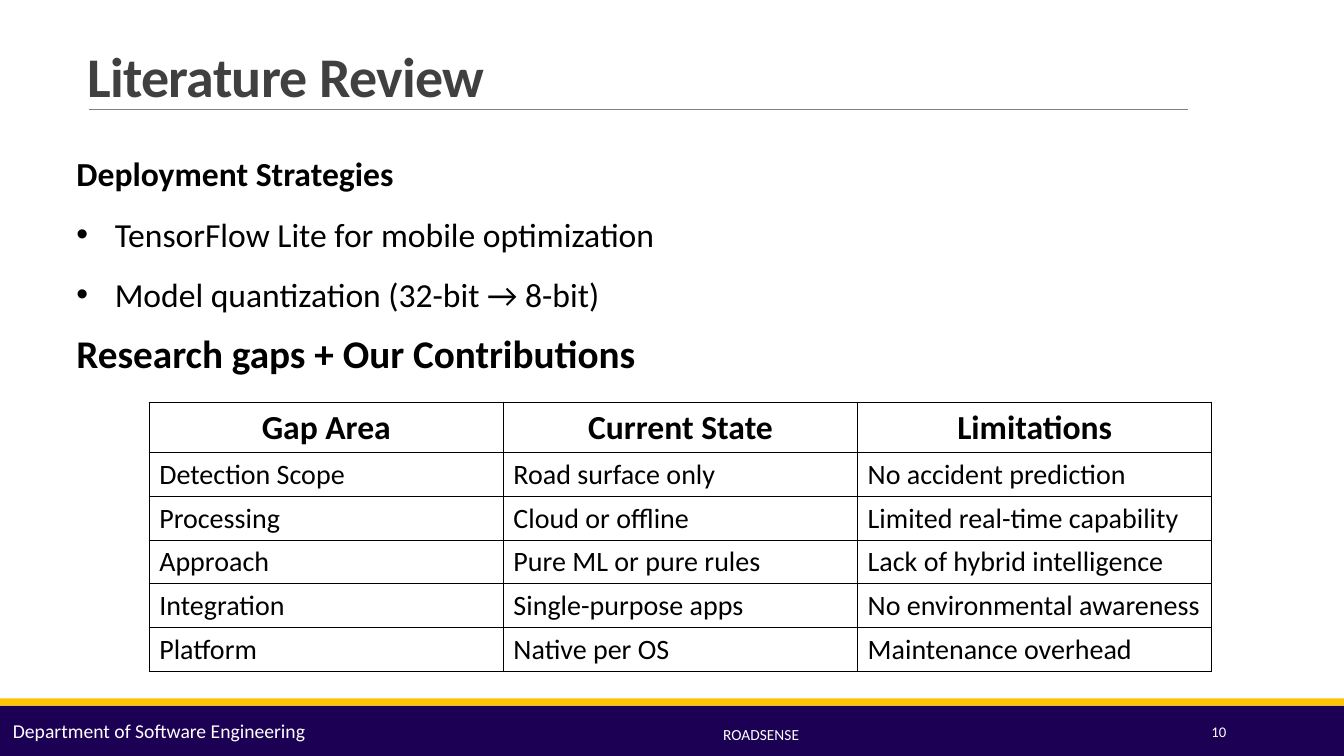
import pptx
import pptx.util
import pptx.dml.color
import pptx.enum.shapes
import pptx.enum.text
import pptx.oxml.ns
from lxml import etree

Inches, Pt = pptx.util.Inches, pptx.util.Pt
ALIGN = pptx.enum.text.PP_ALIGN
ANCHOR = pptx.enum.text.MSO_ANCHOR

TITLE = "Literature Review"
STRATEGIES_HEADING = "Deployment Strategies"
STRATEGIES = ["TensorFlow Lite for mobile optimization", "Model quantization (32-bit → 8-bit)"]
GAPS_HEADING = "Research gaps + Our Contributions"
GAPS = [
    ("Gap Area", "Current State", "Limitations"),
    ("Detection Scope", "Road surface only", "No accident prediction"),
    ("Processing", "Cloud or offline", "Limited real-time capability"),
    ("Approach", "Pure ML or pure rules", "Lack of hybrid intelligence"),
    ("Integration", "Single-purpose apps", "No environmental awareness"),
    ("Platform", "Native per OS", "Maintenance overhead"),
]
# text, (left, top, width, height), size name, alignment
FOOTER = [
    ("10", (10.83, 7.06, 1.43, 0.4), "number", ALIGN.RIGHT),
    ("Department of Software Engineering", (0.03, 7.05, 3.63, 0.4), "department", ALIGN.LEFT),
    ("ROADSENSE", (4.03, 7.09, 7.04, 0.38), "project", ALIGN.CENTER),
]
THEME = {
    "font": "Calibri",
    "colors": {"band": "1C0054", "stripe": "FDC402", "rule": "808080",
               "title": "404040", "text": "000000", "footer": "FFFFFF"},
    "sizes": {"title": 40, "section": 28, "body": 24, "cell": 20,
              "department": 14, "project": 11, "number": 10.5},
}


def color(name):
    return pptx.dml.color.RGBColor.from_string(THEME["colors"][name])


def add_xml(parent, tag, **attributes):
    return etree.SubElement(parent, pptx.oxml.ns.qn(tag), **attributes)


def style(para, size, ink="text", bold=False, align=ALIGN.LEFT, spacing=None):
    para.alignment = align
    if spacing:
        para.line_spacing = spacing
    for span in para.runs:
        span.font.name = THEME["font"]
        span.font.size = Pt(THEME["sizes"][size])
        span.font.bold = bold
        span.font.color.rgb = color(ink)


def add_text(page, text, place, anchor=ANCHOR.TOP):
    frame = page.shapes.add_textbox(*map(Inches, place)).text_frame
    frame.word_wrap = True
    frame.vertical_anchor = anchor
    frame.text = text
    return frame.paragraphs


def add_bar(page, top, height, fill):
    bar = page.shapes.add_shape(pptx.enum.shapes.MSO_SHAPE.RECTANGLE,
                                0, Inches(top), Inches(13.33), Inches(height))
    bar.shadow.inherit = False
    bar.fill.solid()
    bar.fill.fore_color.rgb = color(fill)
    bar.line.fill.background()


def add_title(page):
    rule = page.shapes.add_connector(pptx.enum.shapes.MSO_CONNECTOR.STRAIGHT,
                                     Inches(0.88), Inches(1.09), Inches(11.78), Inches(1.09))
    rule.line.color.rgb = color("rule")
    rule.line.width = Pt(0.5)
    add_xml(rule._element.spPr, "a:effectLst")
    para = add_text(page, TITLE, (0.77, 0.36, 11, 0.77), ANCHOR.BOTTOM)[0]
    style(para, "title", "title", bold=True, spacing=0.85)
    para.runs[0].font._element.set("spc", "-50")


def add_strategies(page):
    lines = "\n".join([STRATEGIES_HEADING] + STRATEGIES)
    heading, *bullets = add_text(page, lines, (0.66, 1.27, 11.39, 1.92))
    style(heading, "body", bold=True, spacing=1.5)
    for para in bullets:
        properties = para._p.get_or_add_pPr()
        indent = Inches(0.38)
        properties.set("marL", str(indent))
        properties.set("indent", str(-indent))
        add_xml(properties, "a:buFont", typeface="Arial")
        add_xml(properties, "a:buChar", char="•")
        style(para, "body", spacing=1.5)


def add_borders(cell):
    properties = cell._tc.get_or_add_tcPr()
    for side in ("a:lnL", "a:lnR", "a:lnT", "a:lnB"):
        edge = add_xml(properties, side, w=str(Pt(1)))
        fill = add_xml(edge, "a:solidFill")
        add_xml(fill, "a:srgbClr", val=THEME["colors"]["text"])


def add_gaps(page):
    para = add_text(page, GAPS_HEADING, (0.66, 3.22, 12.42, 0.57))[0]
    style(para, "section", bold=True)
    table = page.shapes.add_table(len(GAPS), len(GAPS[0]), Inches(1.48), Inches(3.99),
                                  Inches(10.54), Inches(2.67)).table
    table.horz_banding = False
    for r, values in enumerate(GAPS):
        header = r == 0
        table.rows[r].height = Inches(0.5 if header else 0.43)
        for c, value in enumerate(values):
            cell = table.cell(r, c)
            cell.text = value
            cell.vertical_anchor = ANCHOR.MIDDLE
            add_borders(cell)
            cell.fill.background()
            style(cell.text_frame.paragraphs[0], "body" if header else "cell",
                  bold=header, align=ALIGN.CENTER if header else ALIGN.LEFT)


def main():
    deck = pptx.Presentation()
    deck.slide_width, deck.slide_height = Inches(13.33), Inches(7.5)
    page = deck.slides.add_slide(deck.slide_layouts[6])
    add_bar(page, 7, 0.5, "band")
    add_bar(page, 6.93, 0.07, "stripe")
    add_title(page)
    for text, place, size, align in FOOTER:
        style(add_text(page, text, place, ANCHOR.MIDDLE)[0], size, "footer", align=align)
    add_strategies(page)
    add_gaps(page)
    deck.save("out.pptx")


if __name__ == "__main__":
    main()
